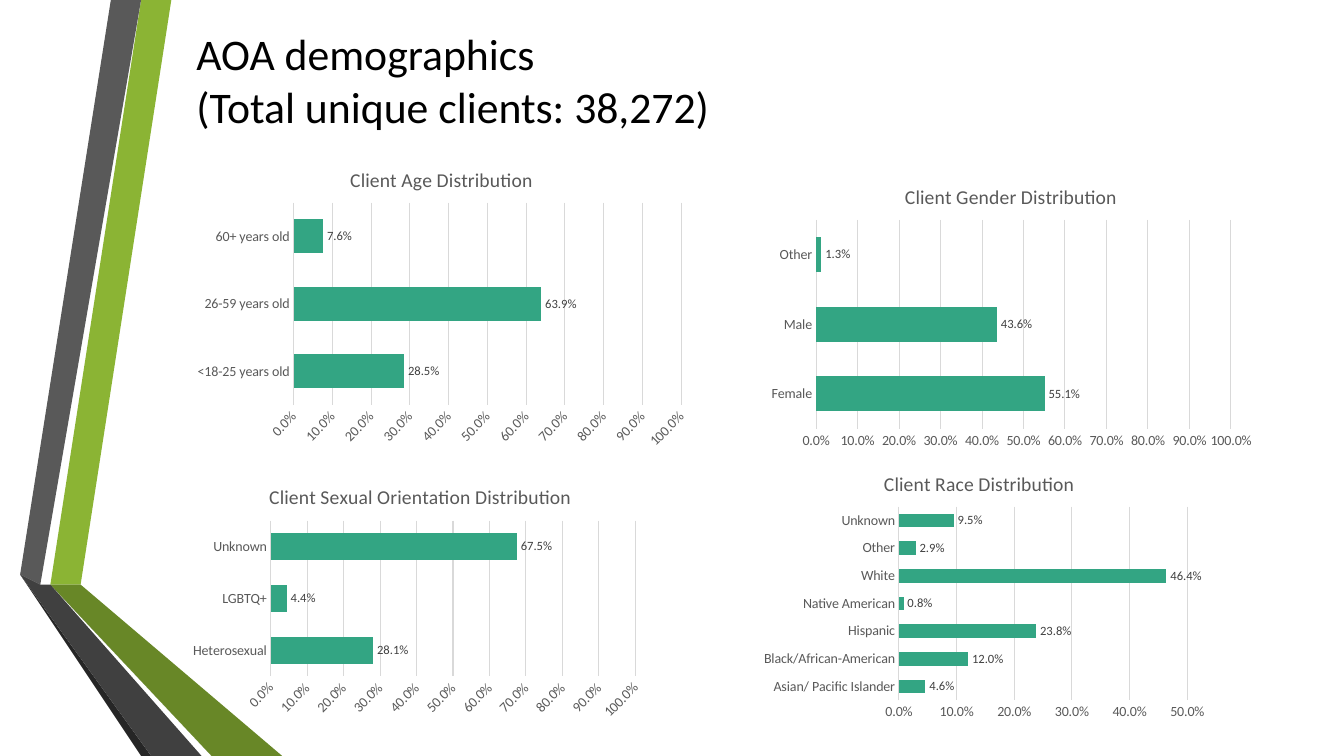
from lxml import etree
from pptx import Presentation
from pptx.chart.data import CategoryChartData
from pptx.dml.color import RGBColor
from pptx.enum.chart import XL_CHART_TYPE, XL_LABEL_POSITION, XL_TICK_MARK
from pptx.enum.text import MSO_ANCHOR
from pptx.oxml.ns import qn
from pptx.util import Inches, Pt

BAR = XL_CHART_TYPE.BAR_CLUSTERED
OUTSIDE = XL_LABEL_POSITION.OUTSIDE_END
NO_TICK = XL_TICK_MARK.NONE
MIDDLE = MSO_ANCHOR.MIDDLE

CELL = Inches(0.1)  # the slide is a grid of 133.3 columns by 75 rows
COLUMNS, ROWS = 133.33, 75
FONT = "Calibri"
PERCENT = "0.0%"
COLORS = {
    "text": "000000", "axis": "595959", "label": "404040", "grid": "D9D9D9",
    "bar": "33A583", "green": "8BB434", "gray": "595959", "black": "262626",
    "olive": "465A1A", "moss": "688727", "charcoal": "404040",
}

RIBBONS = [
    ("green", [(5, 57.8), (7.7, 58.3), (17.3, 0), (14.5, 0)]),
    ("gray", [(13.9, 0), (11.1, 0), (1.6, 57.3), (4.4, 57.7)]),
    ("black", [(1.6, 57.3), (14.5, ROWS), (15.1, ROWS)]),
    ("olive", [(5, 57.9), (20.8, ROWS), (21.4, ROWS)]),
    ("moss", [(5, 57.9), (21.4, ROWS), (28.3, ROWS), (7.7, 58.3), (5, 57.8)]),
    ("charcoal", [(20.2, ROWS), (4.8, 58.3), (4.3, 57.8), (4.4, 57.7),
                  (1.6, 57.3), (15.1, ROWS)]),
]

# place is in grid cells; plot holds shares of the chart's width and height
CHARTS = [
    dict(title="Client Age Distribution", place=(18.5, 15, 50.6, 30),
         plot=(0.21, 0.17, 0.76, 0.67), slanted=True,
         shares={"<18-25 years old": 0.285, "26-59 years old": 0.639,
                 "60+ years old": 0.076}),
    dict(title="Client Gender Distribution", place=(75.5, 16.7, 49.6, 28.4),
         plot=(0.11, 0.18, 0.83, 0.73),
         shares={"Female": 0.551, "Male": 0.436, "Other": 0.013}),
    dict(title="Client Sexual Orientation Distribution",
         place=(18.5, 46.6, 46.4, 25.3), plot=(0.18, 0.2, 0.78, 0.61),
         slanted=True, gap=90,
         shares={"Heterosexual": 0.281, "LGBTQ+": 0.044, "Unknown": 0.675}),
    dict(title="Client Race Distribution", place=(73.7, 45.2, 46.9, 26.7),
         plot=(0.33, 0.19, 0.61, 0.72), top=0.5,
         shares={"Asian/ Pacific Islander": 0.046,
                 "Black/African-American": 0.12, "Hispanic": 0.238,
                 "Native American": 0.008, "White": 0.464, "Other": 0.029,
                 "Unknown": 0.095}),
]


def rgb(name):
    return RGBColor.from_string(COLORS[name])


def cells(*counts):
    return [round(count * CELL) for count in counts]


def format_font(font, size, color):
    font.name = FONT
    font.size = Pt(size)
    font.bold = False
    font.color.rgb = rgb(color)


def add_ribbon(page, color, points):
    builder = page.shapes.build_freeform(*points[0], scale=CELL)
    builder.add_line_segments(points[1:], close=True)
    ribbon = builder.convert_to_shape()
    ribbon.shadow.inherit = False
    ribbon.fill.solid()
    ribbon.fill.fore_color.rgb = rgb(color)
    ribbon.line.fill.background()


def add_text(page, text, place, size, color):
    box = page.shapes.add_textbox(*cells(*place))
    frame = box.text_frame
    frame.word_wrap = True
    frame.vertical_anchor = MIDDLE
    para = frame.paragraphs[0]
    para.text = text
    for span in para.runs:
        format_font(span.font, size, color)


def set_plot_layout(chart, plot):
    """Fix the inner plot area to shares of the chart's size."""
    area = chart.plots[0]._element.getparent()
    for old in area.findall(qn("c:layout")):
        area.remove(old)
    layout = etree.Element(qn("c:layout"))
    manual = etree.SubElement(layout, qn("c:manualLayout"))
    settings = [("layoutTarget", "inner"), ("xMode", "edge"), ("yMode", "edge")]
    settings += zip("xywh", plot)
    for tag, value in settings:
        etree.SubElement(manual, qn("c:" + tag)).set("val", str(value))
    area.insert(0, layout)


def format_line(line, color):
    line.color.rgb = rgb(color)
    line.width = Pt(0.75)


def format_axes(chart, top, slanted):
    for axis in (chart.category_axis, chart.value_axis):
        axis.major_tick_mark = axis.minor_tick_mark = NO_TICK
        format_font(axis.tick_labels.font, 10, "axis")
    format_line(chart.category_axis.format.line, "grid")
    scale = chart.value_axis
    scale.minimum_scale, scale.maximum_scale, scale.major_unit = 0, top, 0.1
    scale.format.line.fill.background()
    format_line(scale.major_gridlines.format.line, "grid")
    scale.tick_labels.number_format = PERCENT
    scale.tick_labels.number_format_is_linked = False
    body = scale._element.find(qn("c:txPr")).find(qn("a:bodyPr"))
    body.set("rot", "-2700000" if slanted else "0")


def add_bar_chart(page, title, place, plot, shares, top=1, gap=100,
                  slanted=False):
    data = CategoryChartData(number_format=PERCENT)
    data.categories = list(shares)
    data.add_series("Series 1", list(shares.values()))
    chart = page.shapes.add_chart(BAR, *cells(*place), data).chart
    format_font(chart.font, 10, "text")
    chart.has_legend = False
    chart.has_title = True
    heading = chart.chart_title.text_frame
    heading.text = title
    format_font(heading.paragraphs[0].runs[0].font, 14, "axis")
    set_plot_layout(chart, plot)
    format_axes(chart, top, slanted)

    bars = chart.plots[0]
    bars.gap_width = gap
    bars.vary_by_categories = False
    series = bars.series[0]
    series.format.fill.solid()
    series.format.fill.fore_color.rgb = rgb("bar")
    labels = series.data_labels
    labels.show_value = True
    labels.position = OUTSIDE
    labels.number_format = PERCENT
    labels.number_format_is_linked = False
    format_font(labels.font, 9, "label")


def main():
    deck = Presentation()
    deck.slide_width, deck.slide_height = cells(COLUMNS, ROWS)
    page = deck.slides.add_slide(deck.slide_layouts[6])
    for color, points in RIBBONS:
        add_ribbon(page, color, points)
    add_text(page, "AOA demographics\v(Total unique clients: 38,272)",
             place=(18.5, 2.3, 109.6, 11.2), size=31.2, color="text")
    for chart in CHARTS:
        add_bar_chart(page, **chart)
    deck.save("out.pptx")


if __name__ == "__main__":
    main()
